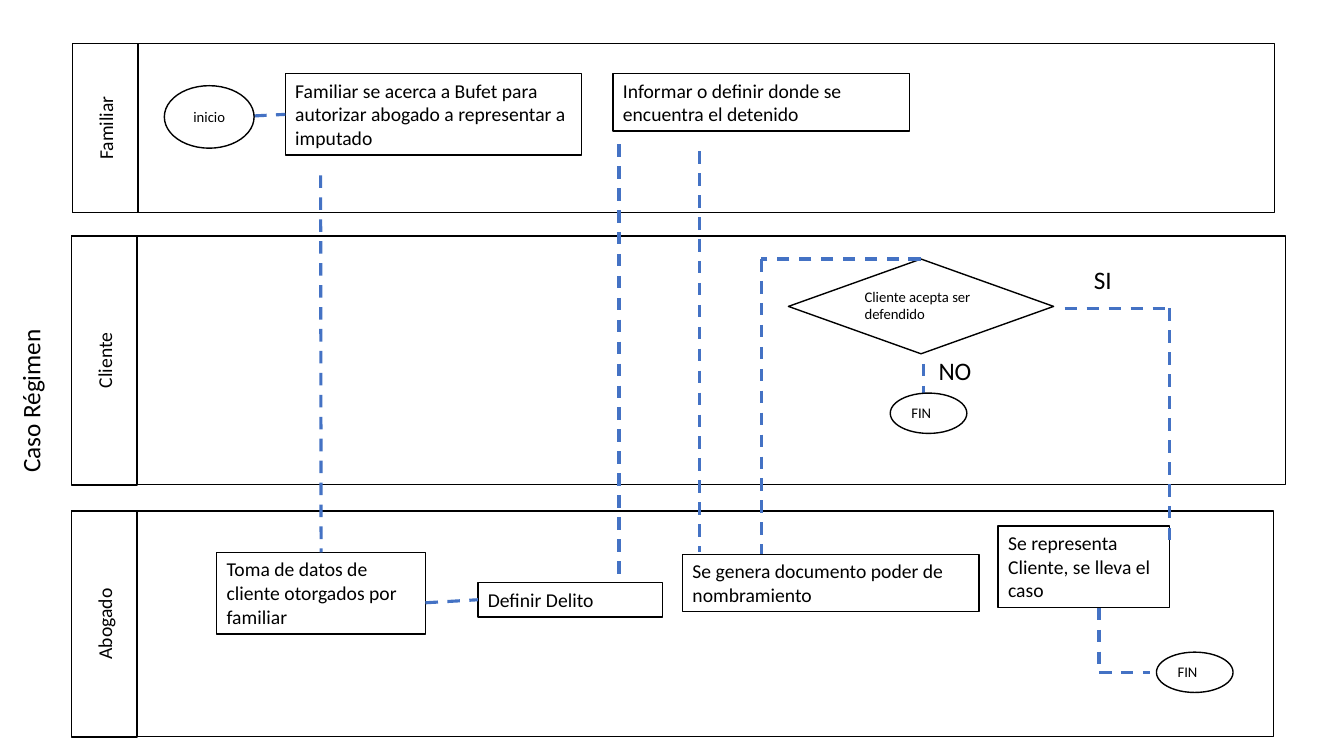
from lxml import etree
from pptx import Presentation
from pptx.dml.color import RGBColor
from pptx.enum import dml, shapes, text
from pptx.oxml.ns import qn
from pptx import util as u

COLORS = {"paper": "FFFFFF", "ink": "000000", "flow": "4472C4"}
CELL = u.Inches(0.1)
LABEL_W = 6.5

prs = Presentation()
prs.slide_width, prs.slide_height = u.Inches(13.33), u.Inches(7.5)
s = prs.slides.add_slide(prs.slide_layouts[6])


def color(name):
    return RGBColor.from_string(COLORS[name])


def add_node(parent, kind, words, size, left, top, width, height, centered=False):
    at = [round(n * CELL) for n in (left, top, width, height)]
    if kind is None:
        sp = parent.add_textbox(*at)
    else:
        sp = parent.add_shape(kind, *at)
        sp.shadow.inherit = False
        sp.fill.solid()
        sp.fill.fore_color.rgb = color("paper")
        sp.line.color.rgb = color("ink")
        sp.line.width = u.Pt(1)
    if words:
        tf = sp.text_frame
        tf.word_wrap = True
        tf.vertical_anchor = text.MSO_ANCHOR.MIDDLE if centered else text.MSO_ANCHOR.TOP
        if not centered:
            tf.auto_size = text.MSO_AUTO_SIZE.SHAPE_TO_FIT_TEXT
        p = tf.paragraphs[0]
        p.alignment = text.PP_ALIGN.CENTER if centered else text.PP_ALIGN.LEFT
        r = p.add_run()
        r.text = words
        r.font.name = "Calibri"
        r.font.size = u.Pt(size)
        r.font.color.rgb = color("ink")
    return sp


RECT = shapes.MSO_SHAPE.RECTANGLE
OVAL = shapes.MSO_SHAPE.OVAL
DIAMOND = shapes.MSO_SHAPE.DIAMOND

lanes = [
    ("Familiar", 7.2, 4.3, 119.2, 16.8),
    ("Cliente", 7.1, 23.4, 120.4, 24.7),
    ("Abogado", 7.1, 50.7, 119.2, 22.4),
]
for name, left, top, width, height in lanes:
    lane = s.shapes.add_group_shape().shapes
    add_node(lane, RECT, "", 14, left, top, width, height)
    label = add_node(lane, RECT, name, 14, left + (LABEL_W - height) / 2,
                     top + (height - LABEL_W) / 2, height, LABEL_W, centered=True)
    label.rotation = 270

steps = {
    "acerca": ("Familiar se acerca a Bufet para autorizar abogado a representar a imputado",
               28.3, 7.3, 29.4, 8.1),
    "informar": ("Informar o definir donde se encuentra el detenido", 60.8, 7.3, 29.4, 5.7),
    "datos": ("Toma de datos de cliente otorgados por familiar", 21.5, 54.8, 20.7, 8.1),
    "delito": ("Definir Delito", 47.4, 57.8, 18.3, 3.4),
    "poder": ("Se genera documento poder de nombramiento", 67.7, 55, 29.4, 5.7),
    "caso": ("Se representa Cliente, se lleva el caso", 99, 52.2, 17, 8.1),
}
nodes = {key: add_node(s.shapes, RECT, words, 14, *at)
         for key, (words, *at) in steps.items()}
nodes["acepta"] = add_node(s.shapes, DIAMOND, "Cliente acepta ser defendido", 10.5,
                           78.2, 25.7, 26.3, 9.4)

flows = [
    (25.2, 11.5, 28.3, 11.4, None, ("acerca", 1)),
    (31.8, 17.4, 31.8, 54.8, None, ("datos", 0)),
    (42.2, 59.8, 47.4, 59.5, None, ("delito", 1)),
    (61.4, 14.3, 61.4, 57.8, None, None),
    (69.4, 15, 69.4, 54.8, None, None),
    (75.5, 25.7, 75.5, 55, None, None),
    (91.4, 25.7, 75.5, 25.7, ("acepta", 0), None),
    (105.6, 30.6, 116, 30.6, None, None),
    (116, 30.6, 116, 53.6, None, None),
    (91.6, 36.1, 91.6, 40.3, None, None),
    (109, 60.3, 109, 66.7, None, None),
    (109, 66.7, 114.1, 66.7, None, None),
]
for *ends, begin, end in flows:
    line = s.shapes.add_connector(shapes.MSO_CONNECTOR.STRAIGHT,
                                  *[round(n * CELL) for n in ends])
    line.line.color.rgb = color("flow")
    line.line.width = u.Pt(2.25)
    line.line.dash_style = dml.MSO_LINE.DASH
    etree.SubElement(line._element.spPr, qn("a:effectLst"))
    if begin:
        line.begin_connect(nodes[begin[0]], begin[1])
    if end:
        line.end_connect(nodes[end[0]], end[1])

add_node(s.shapes, OVAL, "inicio", 10.5, 16.3, 8.5, 8.9, 6.2, centered=True)
for left, top in [(88.3, 39), (114.7, 64.7)]:
    add_node(s.shapes, OVAL, "FIN", 10.5, left, top, 7.6, 4)

title = add_node(s.shapes, None, "Caso Régimen", 18, -10.6, 32.3, 27.2, 4)
title.rotation = 270
for words, left, top, width in [("SI", 107.5, 25.7, 6.6), ("NO", 92.1, 34.8, 6.9)]:
    add_node(s.shapes, None, words, 18, left, top, width, 4)

prs.save("out.pptx")
